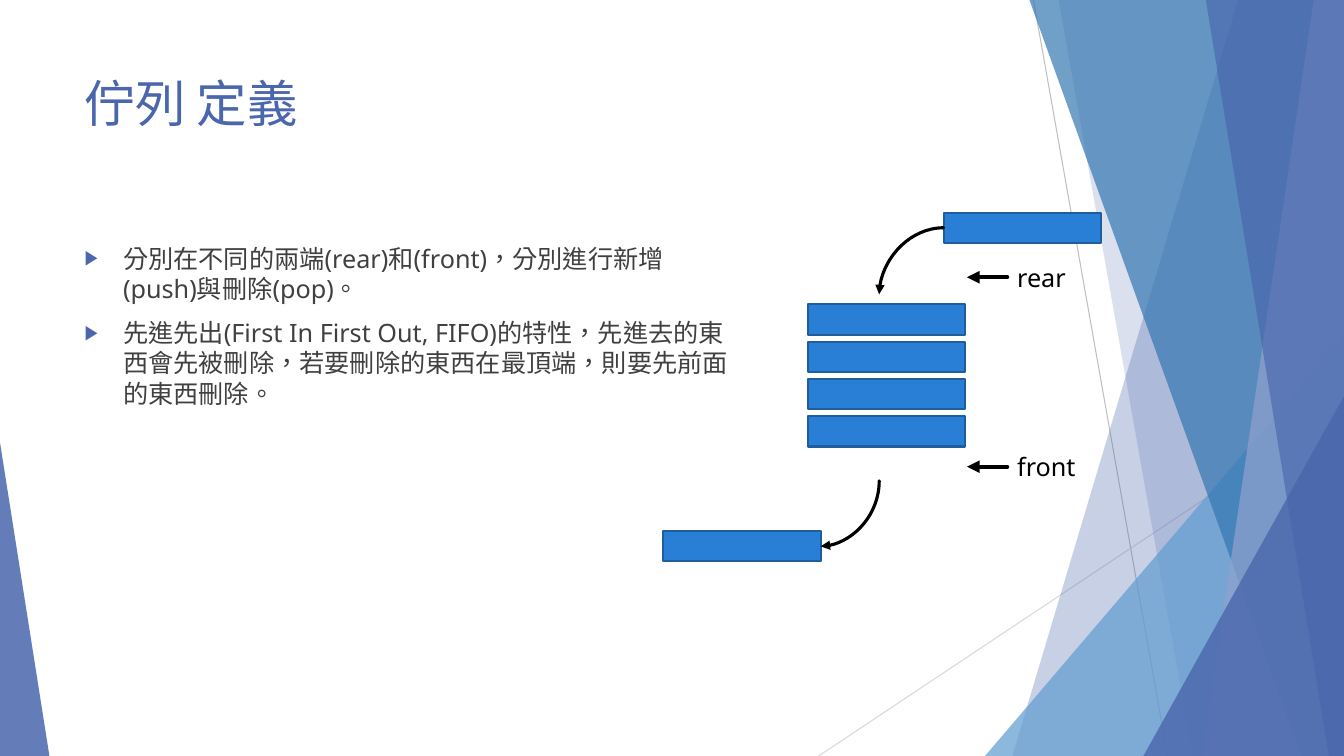
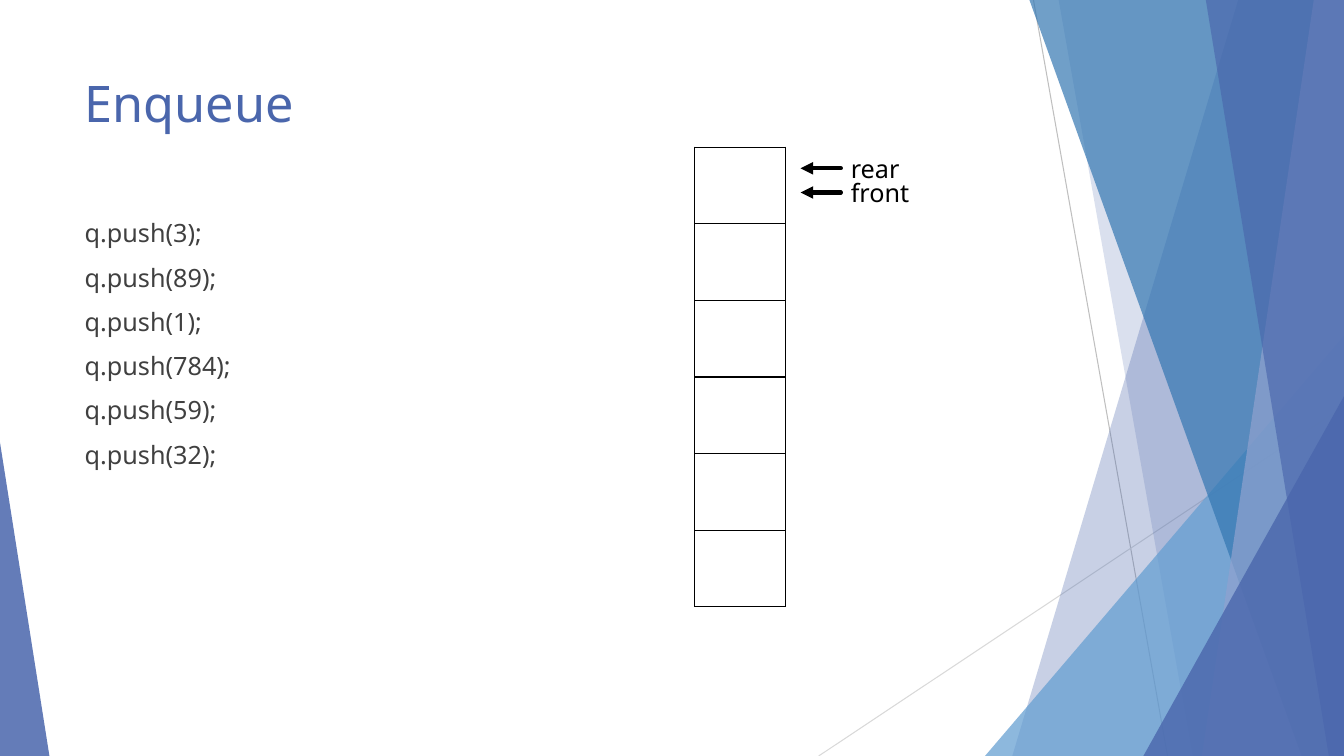
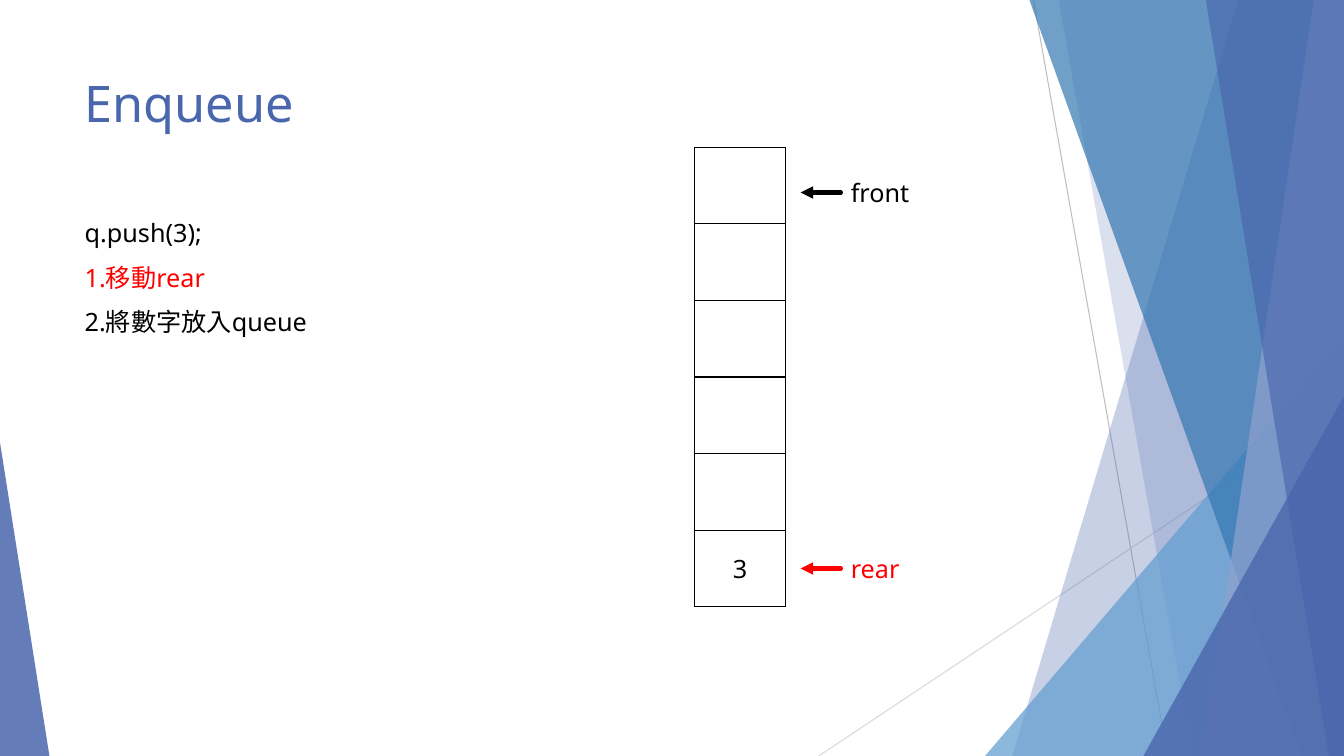
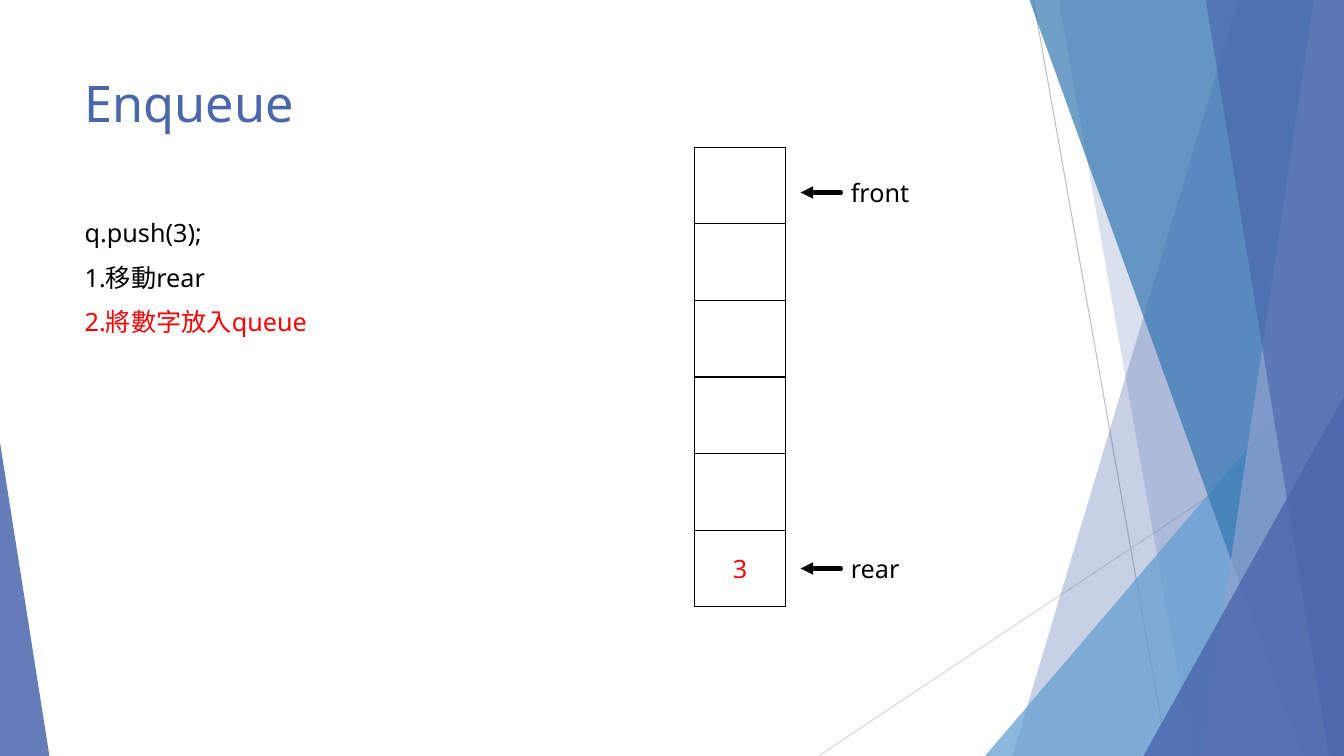
from dataclasses import dataclass

from pptx import Presentation
from pptx import util as u
from pptx.dml.color import RGBColor
from pptx.enum import lang, shapes, text
from pptx.oxml import ns, xmlchemy

FONT = "Noto Sans"
INDIGO = RGBColor(0x4A, 0x66, 0xAC)
PALE_INDIGO = RGBColor(0x90, 0xA2, 0xCF)
SKY = RGBColor(0x62, 0x9D, 0xD1)
STEEL = RGBColor(0x34, 0x77, 0xB2)
BLOCK_FILL = RGBColor(0x29, 0x7F, 0xD5)
BLOCK_EDGE = RGBColor(0x1E, 0x5E, 0x9E)
GREY = RGBColor(0xBF, 0xBF, 0xBF)
LIGHT_GREY = RGBColor(0xD9, 0xD9, 0xD9)
CHARCOAL = RGBColor(0x40, 0x40, 0x40)
BLACK = RGBColor(0, 0, 0)
RED = RGBColor(0xFF, 0, 0)

WIDTH, HEIGHT = 13.33, 7.5
CELL_COUNT, CELL_WIDTH, CELL_HEIGHT = 6, 0.9, 0.76
QUEUE_POINTER_X = 8.34


@dataclass(frozen=True)
class Band:
    """A four-sided band that runs from the top edge to the bottom edge."""
    top_left: float
    bottom_left: float
    color: RGBColor
    opacity: int


@dataclass(frozen=True)
class Corner:
    """A right triangle standing on the bottom edge; apex is 0 left, 1 right."""
    left: float
    top: float
    width: float
    apex: int
    color: RGBColor
    opacity: int


@dataclass(frozen=True)
class Line:
    """One line of body text."""
    words: str
    color: RGBColor = CHARCOAL


@dataclass(frozen=True)
class Pointer:
    """A labelled arrow that points left at a given height."""
    label: str
    y: float
    color: RGBColor = BLACK


@dataclass(frozen=True)
class QueueStep:
    """One state of the queue: code lines, pointers and the last cell."""
    lines: list[Line]
    pointers: list[Pointer]
    last_value: str = ""
    value_color: RGBColor = BLACK


DECORATION = [
    Band(12.28, 10.04, INDIGO, 30),
    Band(10.5, 11.83, INDIGO, 20),
    Corner(9.77, 3.33, 3.56, 1, SKY, 72),
    Band(10.21, 12.91, STEEL, 70),
    Band(13.03, 11.92, PALE_INDIGO, 70),
    Band(11.96, 13.18, INDIGO, 65),
    Corner(11.34, 3.93, 1.99, 1, INDIGO, 80),
    Corner(0, 4.39, 0.49, 0, INDIGO, 85),
]

FRONT = Pointer("front", 1.91)
PUSH, MOVE, STORE = "q.push(3);", "1.移動rear", "2.將數字放入queue"
QUEUE_STEPS = [
    QueueStep([Line(f"q.push({number});") for number in (3, 89, 1, 784, 59, 32)],
              [FRONT, Pointer("rear", 1.67)]),
    QueueStep([Line(PUSH, BLACK), Line(MOVE, RED), Line(STORE, BLACK)],
              [FRONT, Pointer("rear", 5.64, RED)], "3"),
    QueueStep([Line(PUSH, BLACK), Line(MOVE, BLACK), Line(STORE, RED)],
              [FRONT, Pointer("rear", 5.64)], "3", RED),
]
DEFINITION = [
    Line("分別在不同的兩端(rear)和(front)，分別進行新增(push)與刪除(pop)。"),
    Line("先進先出(First In First Out, FIFO)的特性，先進去的東西會先被刪除，"
         "若要刪除的東西在最頂端，則要先前面的東西刪除。"),
]


def add_child(parent: xmlchemy.BaseOxmlElement, tag: str, **attributes: str):
    """Append a DrawingML child element and return it."""
    child = parent.makeelement(ns.qn(tag), attributes)
    parent.append(child)
    return child


def add_run(paragraph, words: str, size: float, color: RGBColor) -> None:
    """Add one formatted run to a paragraph."""
    run = paragraph.add_run()
    run.text = words
    run.font.name = FONT
    run.font.size = u.Pt(size)
    run.font.color.rgb = color
    run.font.language_id = lang.MSO_LANGUAGE_ID.TRADITIONAL_CHINESE


def place(shape, left: float, top: float, width: float, height: float) -> None:
    """Move and size a shape, in inches."""
    shape.left, shape.top = u.Inches(left), u.Inches(top)
    shape.width, shape.height = u.Inches(width), u.Inches(height)


def draw_line(container, begin: tuple[float, float], end: tuple[float, float],
              color: RGBColor, weight: float,
              kind=shapes.MSO_CONNECTOR.STRAIGHT, arrow: bool = False):
    """Draw a connector without shadow, with an arrowhead if asked."""
    connector = container.add_connector(
        kind, *(u.Inches(value) for value in (*begin, *end)))
    connector.line.color.rgb = color
    connector.line.width = u.Pt(weight)
    if arrow:
        outline = connector.line._get_or_add_ln()
        outline.set("cap", "rnd")
        add_child(outline, "a:tailEnd", type="triangle")
    add_child(connector.element.spPr, "a:effectLst")
    return connector


def draw_curve(container, begin: tuple[float, float], end: tuple[float, float],
               starts_down: bool = False) -> None:
    """Draw a quarter-arc arrow leaving sideways, or down and to the left."""
    if starts_down:
        center_x, center_y = (begin[0] + end[0]) / 2, (begin[1] + end[1]) / 2
        half_width, half_height = (end[1] - begin[1]) / 2, (begin[0] - end[0]) / 2
        begin = (center_x - half_width, center_y - half_height)
        end = (center_x + half_width, center_y + half_height)
    connector = draw_line(container, begin, end, BLACK, 2.25,
                          shapes.MSO_CONNECTOR.CURVE, arrow=True)
    properties = connector.element.spPr
    properties.find(ns.qn("a:prstGeom")).set("prst", "curvedConnector2")
    if starts_down:
        properties.find(ns.qn("a:xfrm")).set("rot", str(90 * 60000))


def draw_facet(container, facet: Band | Corner) -> None:
    """Draw one translucent band or corner."""
    if isinstance(facet, Band):
        builder = container.build_freeform(u.Inches(facet.top_left), 0)
        outline = [(WIDTH, 0), (WIDTH, HEIGHT), (facet.bottom_left, HEIGHT)]
        builder.add_line_segments(
            [(u.Inches(x), u.Inches(y)) for x, y in outline], close=True)
        shape = builder.convert_to_shape()
    else:
        shape = container.add_shape(shapes.MSO_SHAPE.ISOSCELES_TRIANGLE, 0, 0, 0, 0)
        place(shape, facet.left, facet.top, facet.width, HEIGHT - facet.top)
        shape.adjustments[0] = facet.apex
    shape.shadow.inherit = False
    shape.line.fill.background()
    shape.fill.solid()
    shape.fill.fore_color.rgb = facet.color
    color = shape.element.spPr.find(ns.qn("a:solidFill"))[0]
    add_child(color, "a:alpha", val=str(facet.opacity * 1000))


def decorate_layout(layout, slide) -> None:
    """Build the shared decoration and move it behind the layout's placeholders."""
    group = slide.shapes.add_group_shape()
    draw_line(group.shapes, (10.25, 0), (11.58, HEIGHT), GREY, 0.75)
    draw_line(group.shapes, (WIDTH, 4.03), (8.12, HEIGHT), LIGHT_GREY, 0.75)
    for facet in DECORATION:
        draw_facet(group.shapes, facet)
    layout.shapes.element.insert(2, group.element)


def fill_title(slide, words: str) -> None:
    """Write the slide title."""
    title = slide.shapes.title
    place(title, 0.74, 0.67, 9.4, 1.44)
    frame = title.text_frame
    frame.vertical_anchor = text.MSO_ANCHOR.TOP
    frame.auto_size = text.MSO_AUTO_SIZE.NONE
    frame.paragraphs[0].alignment = text.PP_ALIGN.LEFT
    add_run(frame.paragraphs[0], words, 36, INDIGO)


def fill_body(slide, lines: list[Line], box: tuple[float, float, float, float],
              bulleted: bool = False) -> None:
    """Write the body lines, with or without arrow bullets."""
    body = slide.placeholders[1]
    place(body, *box)
    frame = body.text_frame
    frame.auto_size = text.MSO_AUTO_SIZE.NONE
    indent = u.Inches(0.38) if bulleted else 0
    for index, line in enumerate(lines):
        paragraph = frame.add_paragraph() if index else frame.paragraphs[0]
        paragraph.space_before = u.Pt(10)
        properties = paragraph._p.get_or_add_pPr()
        properties.set("marL", str(indent))
        properties.set("indent", str(-indent))
        if bulleted:
            bullet_color = add_child(properties, "a:buClr")
            add_child(bullet_color, "a:srgbClr", val=str(INDIGO))
            add_child(properties, "a:buSzPct", val="80000")
            add_child(properties, "a:buChar", char="▶")
        else:
            add_child(properties, "a:buNone")
        add_run(paragraph, line.words, 18, line.color)


def draw_pointer(slide, x: float, pointer: Pointer) -> None:
    """Draw an arrow ending left of x and its label on the right."""
    draw_line(slide.shapes, (x, pointer.y), (x - 0.4, pointer.y),
              pointer.color, 3, arrow=True)
    label = slide.shapes.add_textbox(0, 0, 0, 0)
    place(label, x, pointer.y - 0.2, 1.24, 0.4)
    label.text_frame.word_wrap = True
    add_run(label.text_frame.paragraphs[0], pointer.label, 18, pointer.color)


def draw_block(slide, left: float, top: float) -> None:
    """Draw one queue element."""
    block = slide.shapes.add_shape(shapes.MSO_SHAPE.RECTANGLE, 0, 0, 0, 0)
    place(block, left, top, 1.56, 0.3)
    block.shadow.inherit = False
    block.fill.solid()
    block.fill.fore_color.rgb = BLOCK_FILL
    block.line.color.rgb = BLOCK_EDGE
    block.line.width = u.Pt(1.5)


def draw_queue(slide, last_value: str, color: RGBColor) -> None:
    """Draw the queue as a one-column table."""
    table = slide.shapes.add_table(
        CELL_COUNT, 1, u.Inches(6.89), u.Inches(1.46), u.Inches(CELL_WIDTH),
        u.Inches(CELL_COUNT * CELL_HEIGHT)).table
    table.first_row = table.horz_banding = False
    for row in table.rows:
        row.height = u.Inches(CELL_HEIGHT)
        cell = row.cells[0]
        properties = cell._tc.get_or_add_tcPr()
        for side in ("a:lnL", "a:lnR", "a:lnT", "a:lnB"):
            border = add_child(properties, side, w=str(u.Pt(1)))
            add_child(add_child(border, "a:solidFill"), "a:srgbClr", val=str(BLACK))
        cell.fill.background()
    if last_value:
        last_cell = table.cell(CELL_COUNT - 1, 0)
        last_cell.vertical_anchor = text.MSO_ANCHOR.MIDDLE
        paragraph = last_cell.text_frame.paragraphs[0]
        paragraph.alignment = text.PP_ALIGN.CENTER
        add_run(paragraph, last_value, 18, color)


def build_definition(slide) -> None:
    """Build the slide that defines a queue."""
    fill_title(slide, "佇列 定義")
    fill_body(slide, DEFINITION, (0.74, 2.36, 6.6, 4.24), bulleted=True)
    for index in range(4):
        draw_block(slide, 8.01, 3.02 + index * 0.37)
    draw_block(slide, 6.58, 5.27)
    draw_block(slide, 9.36, 2.11)
    draw_curve(slide.shapes, (8.72, 4.77), (8.14, 5.42), starts_down=True)
    draw_curve(slide.shapes, (9.36, 2.26), (8.72, 2.92))
    for pointer in (Pointer("front", 4.63), Pointer("rear", 2.75)):
        draw_pointer(slide, 9.99, pointer)


def build_enqueue(slide, step: QueueStep) -> None:
    """Build one enqueue slide."""
    fill_title(slide, "Enqueue")
    fill_body(slide, step.lines, (0.74, 2.11, 3.7, 3.04))
    draw_queue(slide, step.last_value, step.value_color)
    for pointer in step.pointers:
        draw_pointer(slide, QUEUE_POINTER_X, pointer)


def main() -> None:
    """Build and save the presentation."""
    presentation = Presentation()
    presentation.slide_width = u.Inches(WIDTH)
    presentation.slide_height = u.Inches(HEIGHT)
    layout = presentation.slide_layouts[1]
    definition_slide = presentation.slides.add_slide(layout)
    decorate_layout(layout, definition_slide)
    build_definition(definition_slide)
    for step in QUEUE_STEPS:
        build_enqueue(presentation.slides.add_slide(layout), step)
    presentation.save("out.pptx")


main()
